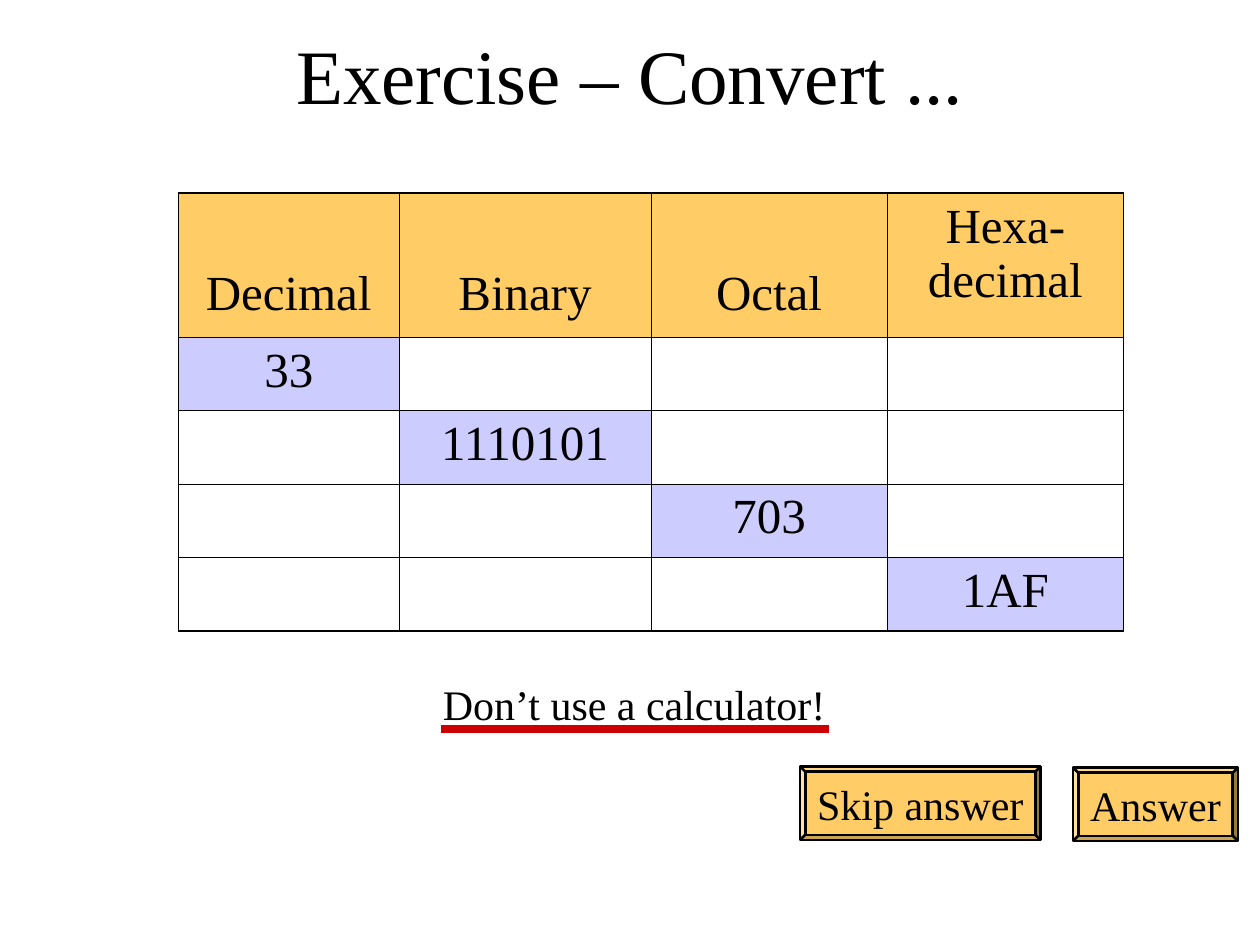
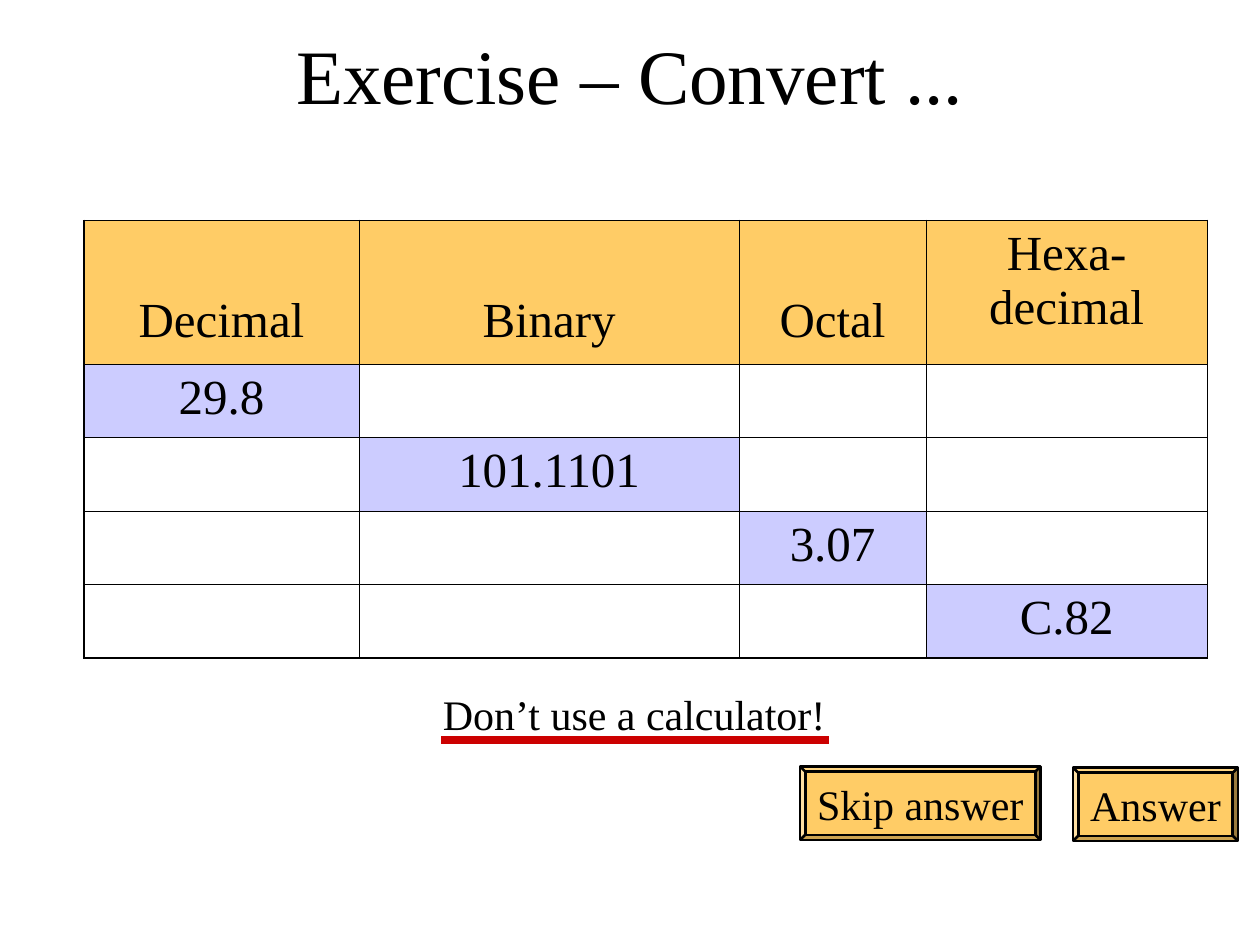
from dataclasses import dataclass
from lxml.etree import SubElement
from pptx import Presentation
from pptx.dml.color import RGBColor
from pptx.enum.shapes import MSO_CONNECTOR, MSO_SHAPE
from pptx.enum.text import MSO_ANCHOR as Anchor, MSO_AUTO_SIZE as AutoSize, PP_ALIGN as Align
from pptx.oxml.ns import qn
from pptx.util import Inches, Pt


@dataclass(frozen=True)
class Theme:
    font: str = "Times New Roman"
    ink: str = "000000"
    gold: str = "FFCC66"
    lilac: str = "CCCCFF"
    red: str = "CC0000"
    title_size: int = 44
    table_size: int = 28
    label_size: int = 24
    inner_border: float = 0.45
    outer_border: float = 1.08
    button_line: float = 1.5
    underline: float = 4.5


GRID_COLUMNS = 120
HEADERS = ["Decimal", "Binary", "Octal", "Hexa-\vdecimal"]
HEADER_ROWS = 13.7
VALUE_ROWS = 7
EXERCISES = [
    dict(values=["33", "1110101", "703", "1AF"], left=17, top=18.4,
         widths=[21, 24, 22.5, 22.5], hint_top=64),
    dict(values=["29.8", "101.1101", "3.07", "C.82"], left=8, top=21,
         widths=[26.2, 36.2, 17.8, 26.8], hint_top=65),
]


class ExerciseDeck:
    def __init__(self, theme):
        self.theme = theme
        self.presentation = Presentation()
        self.presentation.slide_width = Inches(10)
        self.presentation.slide_height = Inches(7.5)
        self.slide = None

    def grid(self, *cells):
        unit = self.presentation.slide_width / GRID_COLUMNS
        return [round(cell * unit) for cell in cells]

    def set_text(self, text_frame, text, size, align=Align.CENTER):
        text_frame.text = text
        for paragraph in text_frame.paragraphs:
            paragraph.alignment = align
            for run in paragraph.runs:
                run.font.name = self.theme.font
                run.font.size = Pt(size)
                run.font.color.rgb = RGBColor.from_string(self.theme.ink)

    def add_slide(self, title):
        layout = self.presentation.slide_layouts.get_by_name("Title Only")
        self.slide = self.presentation.slides.add_slide(layout)
        shape = self.slide.shapes.title
        shape.left, shape.top, shape.width, shape.height = self.grid(9, 2, 102, 10)
        shape.text_frame.vertical_anchor = Anchor.MIDDLE
        shape.text_frame.auto_size = AutoSize.NONE
        self.set_text(shape.text_frame, title, self.theme.title_size)

    def add_hint(self, text, top):
        group = self.slide.shapes.add_group_shape()
        box = group.shapes.add_textbox(*self.grid(41, top, 38.9, 6))
        box.text_frame.word_wrap = False
        box.text_frame.auto_size = AutoSize.SHAPE_TO_FIT_TEXT
        self.set_text(box.text_frame, text, self.theme.label_size, Align.LEFT)
        underline = group.shapes.add_connector(
            MSO_CONNECTOR.STRAIGHT, *self.grid(42, top + 5.47, 79, top + 5.47))
        underline.line.color.rgb = RGBColor.from_string(self.theme.red)
        underline.line.width = Pt(self.theme.underline)
        SubElement(underline._element.spPr, qn("a:effectLst"))

    def add_border(self, cell, side, width):
        line = SubElement(cell._tc.get_or_add_tcPr(), qn(f"a:ln{side}"), w=str(Pt(width)))
        fill = SubElement(line, qn("a:solidFill"))
        SubElement(fill, qn("a:srgbClr"), val=self.theme.ink)

    def style_cell(self, cell, outer_sides, color):
        cell.margin_left = cell.margin_right = Inches(0.1)
        cell.margin_top = cell.margin_bottom = Inches(0.05)
        for side in "LRTB":
            outer = side in outer_sides
            self.add_border(cell, side, self.theme.outer_border if outer else self.theme.inner_border)
        if color:
            cell.fill.solid()
            cell.fill.fore_color.rgb = RGBColor.from_string(color)
        else:
            cell.fill.background()

    def add_conversion_table(self, headers, values, left, top, widths):
        heights = [HEADER_ROWS] + [VALUE_ROWS] * len(values)
        frame = self.slide.shapes.add_table(
            len(heights), len(widths), *self.grid(left, top, sum(widths), sum(heights)))
        table = frame.table
        table.first_row = table.horz_banding = False
        for column, width in zip(table.columns, self.grid(*widths)):
            column.width = width
        for row, height in zip(table.rows, self.grid(*heights)):
            row.height = height
        last_row, last_column = len(heights) - 1, len(widths) - 1
        for r in range(len(heights)):
            for c in range(len(widths)):
                cell = table.cell(r, c)
                edges = {"L": c == 0, "R": c == last_column, "T": r == 0, "B": r == last_row}
                given = r == c + 1
                color = self.theme.gold if r == 0 else self.theme.lilac if given else None
                self.style_cell(cell, [side for side in edges if edges[side]], color)
                if r == 0 or given:
                    text = headers[c] if r == 0 else values[c]
                    self.set_text(cell.text_frame, text, self.theme.table_size)
                if r == 0 and c < last_column:
                    cell.vertical_anchor = Anchor.BOTTOM
                    cell.margin_bottom = Inches(0.13)

    def add_button(self, text, left, top, width):
        button = self.slide.shapes.add_shape(MSO_SHAPE.BEVEL, *self.grid(left, top, width, 7))
        button.adjustments[0] = 0.07
        button.shadow.inherit = False
        button.fill.solid()
        button.fill.fore_color.rgb = RGBColor.from_string(self.theme.gold)
        button.line.color.rgb = RGBColor.from_string(self.theme.ink)
        button.line.width = Pt(self.theme.button_line)
        button.text_frame.word_wrap = False
        button.text_frame.vertical_anchor = Anchor.MIDDLE
        self.set_text(button.text_frame, text, self.theme.label_size)


def main():
    deck = ExerciseDeck(Theme())
    for exercise in EXERCISES:
        deck.add_slide("Exercise – Convert ...")
        deck.add_hint("Don’t use a calculator!", exercise["hint_top"])
        deck.add_conversion_table(HEADERS, exercise["values"], exercise["left"],
                                  exercise["top"], exercise["widths"])
        deck.add_button("Skip answer", 76.2, 73, 22.9)
        deck.add_button("Answer", 102.2, 73.1, 15.7)
    deck.presentation.save("out.pptx")


if __name__ == "__main__":
    main()
